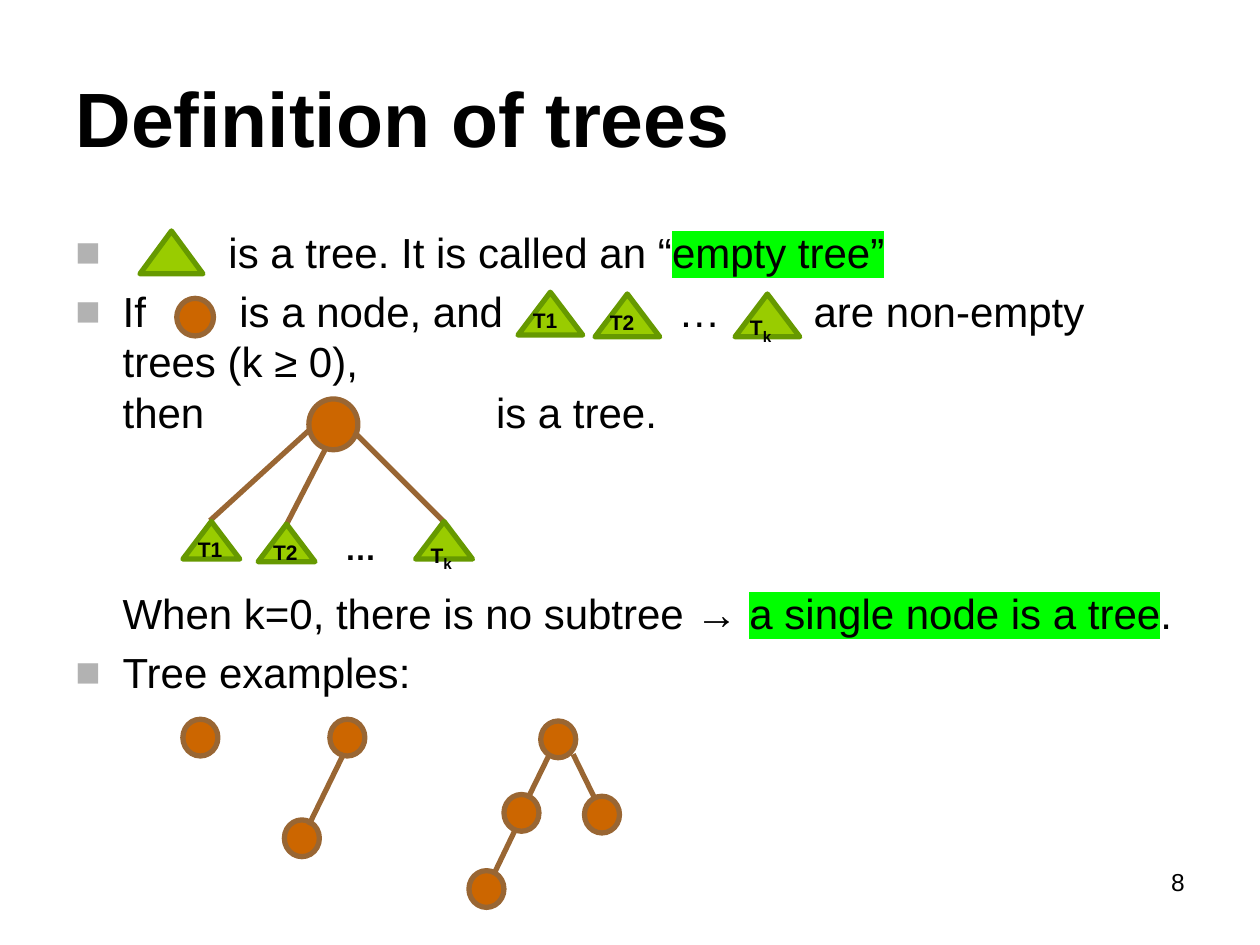
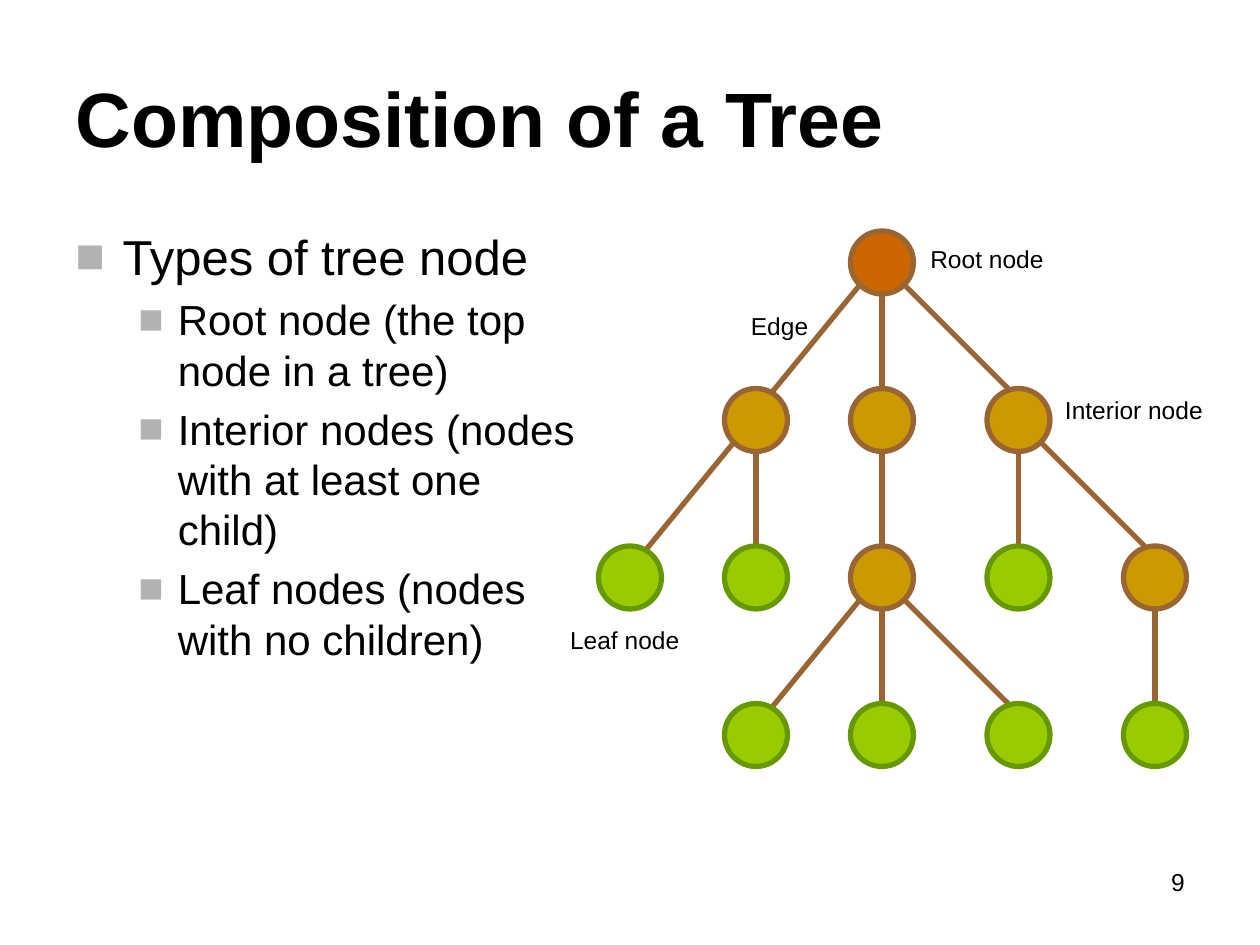
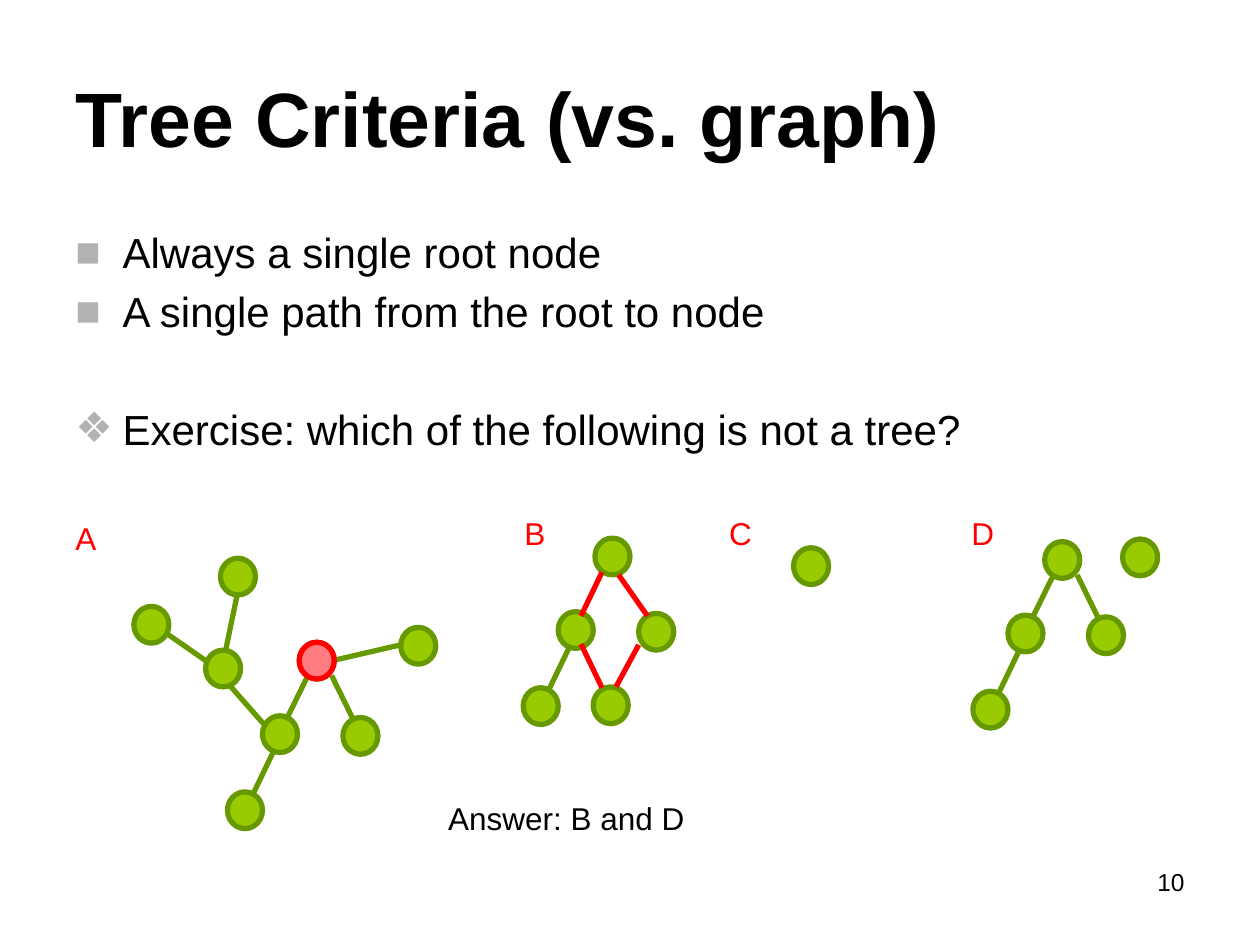
import pptx
import pptx.dml.color
import pptx.enum.shapes
import pptx.enum.text
import pptx.oxml.ns
import pptx.util
from lxml import etree

Pt = pptx.util.Pt
RGBColor = pptx.dml.color.RGBColor
Shape = pptx.enum.shapes.MSO_SHAPE
Align = pptx.enum.text.PP_ALIGN
Anchor = pptx.enum.text.MSO_ANCHOR
qn = pptx.oxml.ns.qn

BLACK = RGBColor(0x00, 0x00, 0x00)
RED = RGBColor(0xFF, 0x00, 0x00)
PINK = RGBColor(0xFF, 0x7C, 0x80)
ORANGE = RGBColor(0xCC, 0x66, 0x00)
GOLD = RGBColor(0xCC, 0x99, 0x00)
BROWN = RGBColor(0x99, 0x66, 0x33)
LIME = RGBColor(0x99, 0xCC, 0x00)
GREEN = RGBColor(0x66, 0x99, 0x00)
HIGHLIGHT = RGBColor(0x00, 0xFF, 0x00)
BULLET_GREY = RGBColor(0xB2, 0xB2, 0xB2)

ROOT_STYLE = (ORANGE, BROWN)
INTERIOR_STYLE = (GOLD, BROWN)
LEAF_STYLE = (LIME, GREEN)
MARKED_STYLE = (PINK, RED)

FONT = "Arial"
LINE_PITCH = 1.2
PARAGRAPH_GAP = 4.8
SMALL_NODE = (20, 21)
TREE_NODE = 36

BRANCH_NODES = [(0, 0), (-21, 42), (-41, 85.5), (25, 43)]
BRANCH_EDGES = [
    ((-7.5, 44.5), (5, 19)),
    ((-27, 88), (-14.5, 62)),
    ((31, 44.5), (18.5, 19)),
]


def set_font(font, size, color=BLACK, bold=False):
    font.name = FONT
    font.size = Pt(size)
    font.bold = bold
    font.color.rgb = color


def add_text_box(page, left, top, width, height):
    box = page.shapes.add_textbox(Pt(left), Pt(top), Pt(width), Pt(height))
    box.text_frame.word_wrap = True
    return box.text_frame


def add_label(page, text, bounds, size, color=BLACK, bold=False,
              align=Align.LEFT, subscript=""):
    para = add_text_box(page, *bounds).paragraphs[0]
    para.alignment = align
    set_font(para.font, size, color, bold)
    para.add_run().text = text
    if subscript:
        span = para.add_run()
        span.text = subscript
        span.font.size = Pt(15)
        span._r.get_or_add_rPr().set("baseline", "-25000")


def add_page(deck, title, number):
    page = deck.slides.add_slide(deck.slide_layouts[5])
    box = page.shapes.title
    box.left, box.top, box.width, box.height = Pt(36), Pt(21.5), Pt(648), Pt(90)
    box.text_frame.vertical_anchor = Anchor.MIDDLE
    box.text_frame.text = title
    para = box.text_frame.paragraphs[0]
    para.alignment = Align.LEFT
    set_font(para.font, 44, bold=True)
    add_label(page, str(number), (516, 492, 168, 37), 14, align=Align.RIGHT)
    return page


def add_bullet(properties, symbol):
    color = etree.SubElement(properties, qn("a:buClr"))
    etree.SubElement(color, qn("a:srgbClr"), val=str(BULLET_GREY))
    etree.SubElement(properties, qn("a:buFont"), typeface=FONT)
    etree.SubElement(properties, qn("a:buChar"), char=symbol)


def add_highlighted(para, text):
    span = para.add_run()
    span.text = text
    mark = etree.SubElement(span._r.get_or_add_rPr(), qn("a:highlight"))
    etree.SubElement(mark, qn("a:srgbClr"), val=str(HIGHLIGHT))


def add_gap(para, width):
    span = para.add_run()
    span.text = " "
    span._r.get_or_add_rPr().set("spc", str(round(width * 100)))


def add_body_paragraph(frame, parts, size=24, symbol="■", level=0,
                       margin=27, hanging=27, before=PARAGRAPH_GAP):
    first = not frame.paragraphs[0].runs
    para = frame.paragraphs[0] if first else frame.add_paragraph()
    para.level = level
    properties = para._p.get_or_add_pPr()
    properties.set("marL", str(Pt(margin)))
    properties.set("indent", str(Pt(-hanging)))
    if symbol:
        add_bullet(properties, symbol)
    para.line_spacing = Pt(size * LINE_PITCH)
    if not first:
        para.space_before = Pt(before)
    set_font(para.font, size)
    for kind, value in parts:
        if kind == "text":
            para.add_run().text = value
        elif kind == "mark":
            add_highlighted(para, value)
        elif kind == "gap":
            add_gap(para, value)
        else:
            para.add_line_break()


def add_figure(page, preset, position, size, style):
    fill, outline = style
    shape = page.shapes.add_shape(preset, *map(Pt, position), *map(Pt, size))
    shape.shadow.inherit = False
    shape.fill.solid()
    shape.fill.fore_color.rgb = fill
    shape.line.color.rgb = outline
    shape.line.width = Pt(3)


def add_node(page, position, style, size=SMALL_NODE):
    add_figure(page, Shape.OVAL, position, size, style)


def add_edge(page, start, end, color):
    edge = page.shapes.add_connector(
        pptx.enum.shapes.MSO_CONNECTOR.STRAIGHT, *map(Pt, start), *map(Pt, end))
    edge.line.color.rgb = color
    edge.line.width = Pt(3)
    etree.SubElement(edge._element.spPr, qn("a:effectLst"))


def add_edges(page, edges, color):
    for start, end in edges:
        add_edge(page, start, end, color)


def add_subtree(page, position, size, name, subscript=""):
    left, top = position
    add_figure(page, Shape.ISOSCELES_TRIANGLE, position, size, LEAF_STYLE)
    add_label(page, name, (left + 1.5, top + 5.25, 36, 21.5), 12, bold=True,
              subscript=subscript)


def add_branching_tree(page, left, top, style, edges=BRANCH_EDGES):
    for x, y in BRANCH_NODES:
        add_node(page, (left + x, top + y), style)
    for start, end in edges:
        add_edge(page, (left + start[0], top + start[1]),
                 (left + end[0], top + end[1]), style[1])


def build_definition(deck):
    page = add_page(deck, "Definition of trees", 8)
    frame = add_text_box(page, 36, 126, 648, 356.5)
    add_body_paragraph(frame, [
        ("text", "is a tree. It is called an “"), ("mark", "empty tree”"),
    ], margin=87.5, hanging=87.5)
    add_body_paragraph(frame, [
        ("text", "If"), ("gap", 46.7), ("text", "is a node, and"),
        ("gap", 93.4), ("text", "…"), ("gap", 46.7),
        ("text", "are non-empty trees (k ≥ 0),"), ("break", None),
        ("text", "then"), ("gap", 160), ("text", "is a tree."),
    ])
    add_body_paragraph(frame, [
        ("text", "When k=0, there is no subtree → "),
        ("mark", "a single node is a tree"), ("text", "."),
    ], symbol="", hanging=0, before=3 * 24 * LINE_PITCH)
    add_body_paragraph(frame, [("text", "Tree examples:")])

    large, small = (37, 24.5), (32.5, 21.5)
    add_figure(page, Shape.ISOSCELES_TRIANGLE, (80, 132), (36, 24.5), LEAF_STYLE)
    add_subtree(page, (296, 167), large, "T1")
    add_subtree(page, (340, 168), large, "T2")
    add_subtree(page, (420, 168), large, "T", "k")
    add_node(page, (101, 170.5), ROOT_STYLE, (21, 21.5))

    add_node(page, (176.5, 228), ROOT_STYLE, (28, 29))
    add_edges(page, [
        ((120, 297.5), (176.5, 246)),
        ((162, 303), (186, 256.5)),
        ((253.5, 298), (202.5, 247)),
    ], BROWN)
    add_subtree(page, (104.5, 298), small, "T1")
    add_subtree(page, (147.5, 299.5), small, "T2")
    add_subtree(page, (237.5, 298), small, "T", "k")
    add_label(page, "…", (190, 299, 36.5, 25), 18, bold=True)

    for position in [(104.5, 411), (188.5, 411), (162.5, 468.5)]:
        add_node(page, position, ROOT_STYLE)
    add_edge(page, (176.5, 471.5), (196.5, 430.5), BROWN)
    add_branching_tree(page, 309, 412, ROOT_STYLE)


def add_grid_edge(page, parent, child):
    (parent_left, parent_top), (child_left, child_top) = parent, child
    if child_left < parent_left:
        parent_offset, child_offset = (6, 30), (24, 6)
    elif child_left > parent_left:
        parent_offset, child_offset = (30, 30), (12, 0)
    else:
        parent_offset, child_offset = (18, 36), (18, 0)
    add_edge(page, (child_left + child_offset[0], child_top + child_offset[1]),
             (parent_left + parent_offset[0], parent_top + parent_offset[1]), BROWN)


def build_composition(deck):
    page = add_page(deck, "Composition of a Tree", 9)
    frame = add_text_box(page, 36, 126, 300, 264)
    add_body_paragraph(frame, [("text", "Types of tree node")], size=28)
    for text in ["Root node (the top node in a tree)",
                 "Interior nodes (nodes with at least one child)",
                 "Leaf nodes (nodes with no children)"]:
        add_body_paragraph(frame, [("text", text)], level=1,
                           margin=58.5, hanging=22.5)

    columns = [342, 414, 486, 564, 642]
    children = {
        (2, 0): [1, 2, 3],
        (1, 1): [0, 1],
        (2, 1): [2],
        (3, 1): [3, 4],
        (2, 2): [1, 2, 3],
        (4, 2): [4],
    }

    def place(column, row):
        return columns[column], 132 + 90 * row

    leaves = []
    for (column, row), below in children.items():
        for child in below:
            add_grid_edge(page, place(column, row), place(child, row + 1))
            if (child, row + 1) not in children:
                leaves.append((child, row + 1))
    for column, row in children:
        style = ROOT_STYLE if row == 0 else INTERIOR_STYLE
        add_node(page, place(column, row), style, (TREE_NODE, TREE_NODE))
    for leaf in leaves:
        add_node(page, place(*leaf), LEAF_STYLE, (TREE_NODE, TREE_NODE))

    for text, left, top, width in [
        ("Leaf node", 306, 353.5, 102),
        ("Interior node", 594, 222, 108),
        ("Edge", 394.5, 174, 102),
        ("Root node", 510, 136, 108),
    ]:
        add_label(page, text, (left, top, width, 24), 14, align=Align.CENTER)


def build_criteria(deck):
    page = add_page(deck, "Tree Criteria (vs. graph)", 10)
    frame = add_text_box(page, 36, 126, 648, 356.5)
    add_body_paragraph(frame, [("text", "Always a single root node")])
    add_body_paragraph(frame, [("text", "A single path from the root to node")])
    add_body_paragraph(
        frame, [("text", "Exercise: which of the following is not a tree?")],
        symbol="❖", before=2 * PARAGRAPH_GAP + 24 * LINE_PITCH)

    for text, left, top in [("A", 36, 293), ("B", 292.5, 290),
                            ("C", 409.5, 290), ("D", 548, 290)]:
        add_label(page, text, (left, top, 29, 29), 18, RED)

    add_branching_tree(page, 171, 367, LEAF_STYLE)
    add_edges(page, [
        ((229, 368.5), (190, 377.5)),
        ((150.5, 413.5), (132, 392.5)),
        ((117.5, 377.5), (94.5, 361.5)),
        ((129, 371.5), (135.5, 340)),
    ], GREEN)
    for position in [(117.5, 371.5), (229, 358.5), (76.5, 346.5), (126, 319)]:
        add_node(page, position, LEAF_STYLE)
    add_node(page, (171, 367), MARKED_STYLE)

    add_branching_tree(page, 340, 307.5, LEAF_STYLE, BRANCH_EDGES[1:2])
    add_node(page, (339, 392.5), LEAF_STYLE)
    add_edges(page, [
        ((332, 352), (344, 327)),
        ((370, 352), (353.5, 328.5)),
        ((344, 393), (332, 368)),
        ((365, 368.5), (352, 392.5)),
    ], RED)

    add_node(page, (453.5, 313), LEAF_STYLE)
    add_branching_tree(page, 597, 309.5, LEAF_STYLE)
    add_node(page, (641.5, 308), LEAF_STYLE)
    add_label(page, "Answer: B and D", (249, 453, 340.5, 29.5), 18)


def main():
    deck = pptx.Presentation()
    deck.slide_width, deck.slide_height = Pt(720), Pt(540)
    build_definition(deck)
    build_composition(deck)
    build_criteria(deck)
    deck.save("out.pptx")


if __name__ == "__main__":
    main()
